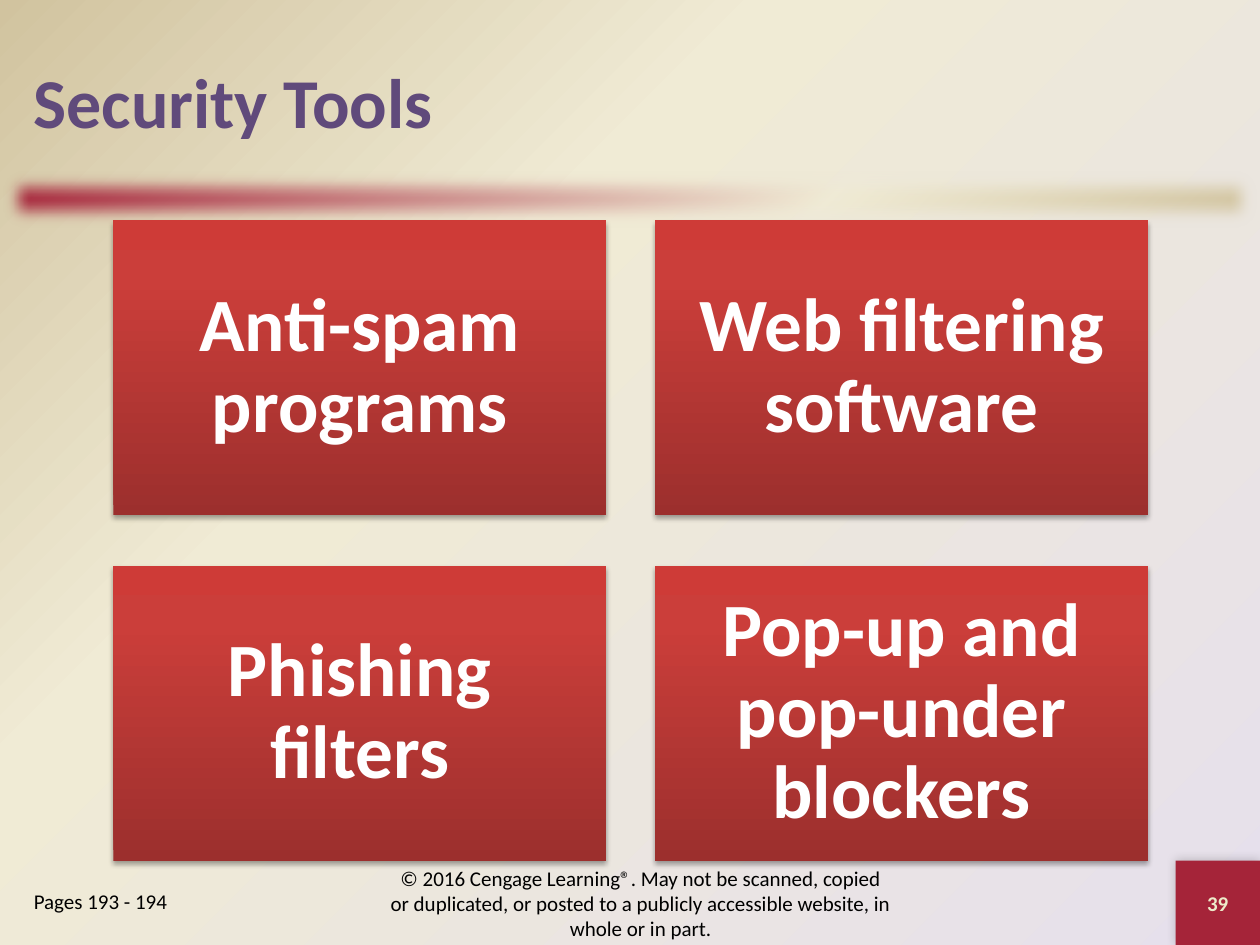
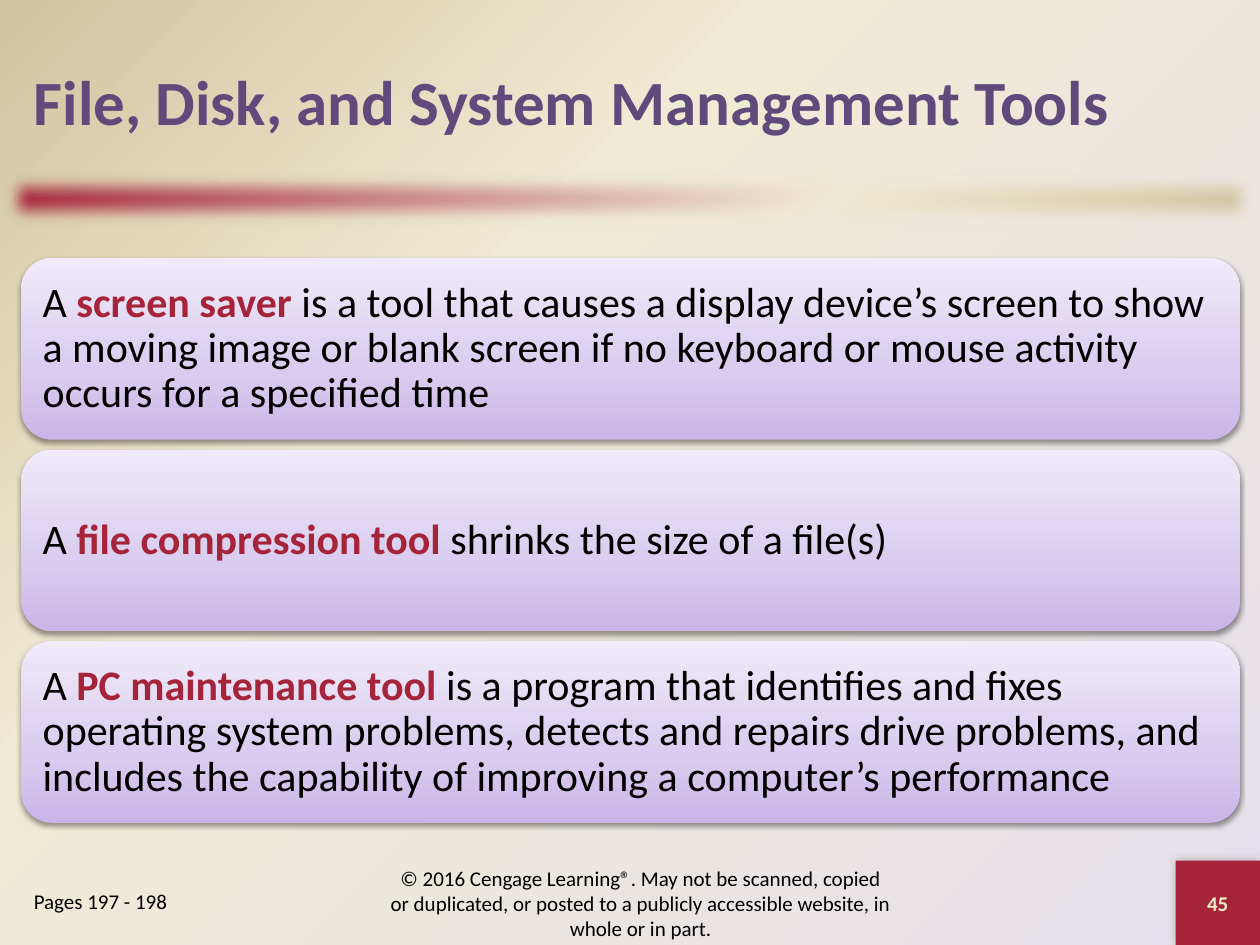
from dataclasses import dataclass
from typing import NamedTuple

from lxml.etree import SubElement
from pptx import Presentation
from pptx.dml.color import RGBColor
from pptx.enum.shapes import MSO_SHAPE
from pptx.enum.text import MSO_ANCHOR, PP_ALIGN
from pptx.oxml import parse_xml
from pptx.oxml.ns import nsdecls, qn
from pptx.util import Inches, Pt

COLORS = {
    "crimson": "A52439", "cream": "F0EBD5", "sand": "D1C39F", "mist": "E6E0EC",
    "title": "604A7B", "number": "EEEBCA", "black": "000000", "white": "FFFFFF",
    "brick_dark": "9C2F2D", "brick": "CB3E3A", "brick_light": "CE3B37",
    "lilac_dark": "C9B5E8", "lilac": "D8CBEE", "lilac_light": "F0EAF9",
}
FONT = "Calibri"
COPYRIGHT = (
    "© 2016 Cengage Learning®. May not be scanned, copied or duplicated, "
    "or posted to a publicly accessible website, in whole or in part."
)


class Box(NamedTuple):
    left: float
    top: float
    width: float
    height: float

    def lengths(self):
        return [Inches(side) for side in self]


class Run(NamedTuple):
    text: str
    color: str
    bold: bool = False


class Shadow(NamedTuple):
    alpha: int
    blur: float
    distance: float
    direction: int


@dataclass(frozen=True)
class PanelStyle:
    outline: MSO_SHAPE
    stops: tuple
    shadow: Shadow


@dataclass(frozen=True)
class Definition:
    term: str
    meaning: str


BACKDROP_STOPS = ((0, "mist"), (65, "cream"), (100, "sand"))
BAND_STOPS = ((0, "crimson"), (65, "cream"), (100, "sand"))
PAGE_BOX = Box(9.33, 6.83, 0.67, 0.67)
PAGE_SHADOW = Shadow(20, 6, 0, 225)
TOOL_STYLE = PanelStyle(
    MSO_SHAPE.RECTANGLE,
    ((0, "brick_dark"), (80, "brick"), (100, "brick_light")),
    Shadow(35, 3.1, 1.8, 90),
)
DEFINITION_STYLE = PanelStyle(
    MSO_SHAPE.ROUNDED_RECTANGLE,
    ((0, "lilac_dark"), (35, "lilac"), (100, "lilac_light")),
    Shadow(38, 3.1, 1.6, 90),
)
TOOLS = (
    "Anti-spam programs", "Web filtering software",
    "Phishing filters", "Pop-up and pop-under blockers",
)
DEFINITIONS = (
    Definition(
        "screen saver ",
        "is a tool that causes a display device’s screen to show a moving image or "
        "blank screen if no keyboard or mouse activity occurs for a specified time",
    ),
    Definition("file compression tool ", "shrinks the size of a file(s)"),
    Definition(
        "PC maintenance tool ",
        "is a program that identifies and fixes operating system problems, detects "
        "and repairs drive problems, and includes the capability of improving a "
        "computer’s performance",
    ),
)


def gradient(stops: tuple, direction: str):
    marks = "".join(
        f'<a:gs pos="{position * 1000}"><a:srgbClr val="{COLORS[color]}"/></a:gs>'
        for position, color in stops
    )
    return parse_xml(
        f'<a:gradFill {nsdecls("a")} rotWithShape="1">'
        f"<a:gsLst>{marks}</a:gsLst>{direction}</a:gradFill>"
    )


def linear(angle: int) -> str:
    return f'<a:lin ang="{angle * 60000}" scaled="0"/>'


def add_block(slide, outline, box: Box, fill: str = "white", stops: tuple = (), angle: int = 0):
    block = slide.shapes.add_shape(outline, *box.lengths())
    block.shadow.inherit = False
    block.line.fill.background()
    block.fill.solid()
    block.fill.fore_color.rgb = RGBColor.from_string(COLORS[fill])
    if stops:
        properties = block.element.spPr
        properties.replace(properties.find(qn("a:solidFill")), gradient(stops, linear(angle)))
    return block


def add_effect(block, tag: str, **attributes):
    effects = block.element.spPr.find(qn("a:effectLst"))
    return SubElement(effects, qn(tag), {key: str(value) for key, value in attributes.items()})


def cast_shadow(block, shadow: Shadow) -> None:
    effect = add_effect(
        block, "a:outerShdw", blurRad=int(Pt(shadow.blur)), dist=int(Pt(shadow.distance)),
        dir=shadow.direction * 60000, rotWithShape=0,
    )
    tint = SubElement(effect, qn("a:srgbClr"), val=COLORS["black"])
    SubElement(tint, qn("a:alpha"), val=str(shadow.alpha * 1000))


def write(holder, *runs: Run, size: float, align=PP_ALIGN.LEFT, anchor=MSO_ANCHOR.MIDDLE,
          inset_x: float = 0.1, inset_y: float = 0.05, spacing: float = 1.0) -> None:
    frame = holder.text_frame
    frame.word_wrap = True
    frame.vertical_anchor = anchor
    frame.margin_left = frame.margin_right = Inches(inset_x)
    frame.margin_top = frame.margin_bottom = Inches(inset_y)
    paragraph = frame.paragraphs[0]
    paragraph.alignment = align
    paragraph.line_spacing = spacing
    for wording in runs:
        run = paragraph.add_run()
        run.text = wording.text
        run.font.name = FONT
        run.font.size = Pt(size)
        run.font.bold = wording.bold
        run.font.color.rgb = RGBColor.from_string(COLORS[wording.color])


def add_label(slide, box: Box, run: Run, **text_format) -> None:
    write(slide.shapes.add_textbox(*box.lengths()), run, **text_format)


def add_panel(slide, style: PanelStyle, box: Box, *runs: Run, **text_format) -> None:
    panel = add_block(slide, style.outline, box, stops=style.stops, angle=270)
    cast_shadow(panel, style.shadow)
    write(panel, *runs, spacing=0.9, **text_format)


def paint_backdrop(slide) -> None:
    slide.background.fill.solid()
    backdrop = next(slide.element.iter(qn("p:bgPr")))
    corner = '<a:path path="circle"><a:fillToRect l="100000" t="100000"/></a:path>'
    backdrop.replace(backdrop.find(qn("a:solidFill")), gradient(BACKDROP_STOPS, corner))


def start_slide(deck, title: str, title_size: float, number: int, pages: str):
    slide = deck.slides.add_slide(deck.slide_layouts[6])
    paint_backdrop(slide)
    band = add_block(slide, MSO_SHAPE.RECTANGLE, Box(0, 1.33, 10, 0.5),
                     stops=BAND_STOPS, angle=45)
    add_effect(band, "a:softEdge", rad=int(Pt(10)))
    page_square = add_block(slide, MSO_SHAPE.RECTANGLE, PAGE_BOX, fill="crimson")
    cast_shadow(page_square, PAGE_SHADOW)
    write(page_square, Run(str(number), "number", True), size=12, align=PP_ALIGN.CENTER)

    add_label(slide, Box(0.17, 0.17, 9.67, 1.25), Run(title, "title", True), size=title_size)
    add_label(slide, Box(3, 6.92, 4.17, 0.5), Run(COPYRIGHT, "black"),
              size=12, align=PP_ALIGN.CENTER)
    add_label(slide, Box(0.17, 7, 1.83, 0.5), Run(pages, "black"),
              size=12, anchor=MSO_ANCHOR.TOP)
    return slide


def build_security_tools(deck) -> None:
    slide = start_slide(deck, "Security Tools", 40, 39, "Pages 193 - 194")
    for index, tool in enumerate(TOOLS):
        row, column = divmod(index, 2)
        box = Box(0.9 + column * 4.3, 1.75 + row * 2.74, 3.91, 2.34)
        add_panel(slide, TOOL_STYLE, box, Run(tool, "white", True),
                  size=43, align=PP_ALIGN.CENTER, inset_x=0.18, inset_y=0.18)


def build_management_tools(deck) -> None:
    slide = start_slide(deck, "File, Disk, and System Management Tools", 36, 45,
                        "Pages 197 - 198")
    for row, definition in enumerate(DEFINITIONS):
        add_panel(slide, DEFINITION_STYLE, Box(0.17, 2.05 + row * 1.52, 9.67, 1.44),
                  Run("A ", "black"), Run(definition.term, "crimson", True),
                  Run(definition.meaning, "black"), size=24, inset_y=0.1)


def main() -> None:
    deck = Presentation()
    deck.slide_width, deck.slide_height = Inches(10), Inches(7.5)
    build_security_tools(deck)
    build_management_tools(deck)
    deck.save("out.pptx")


if __name__ == "__main__":
    main()
